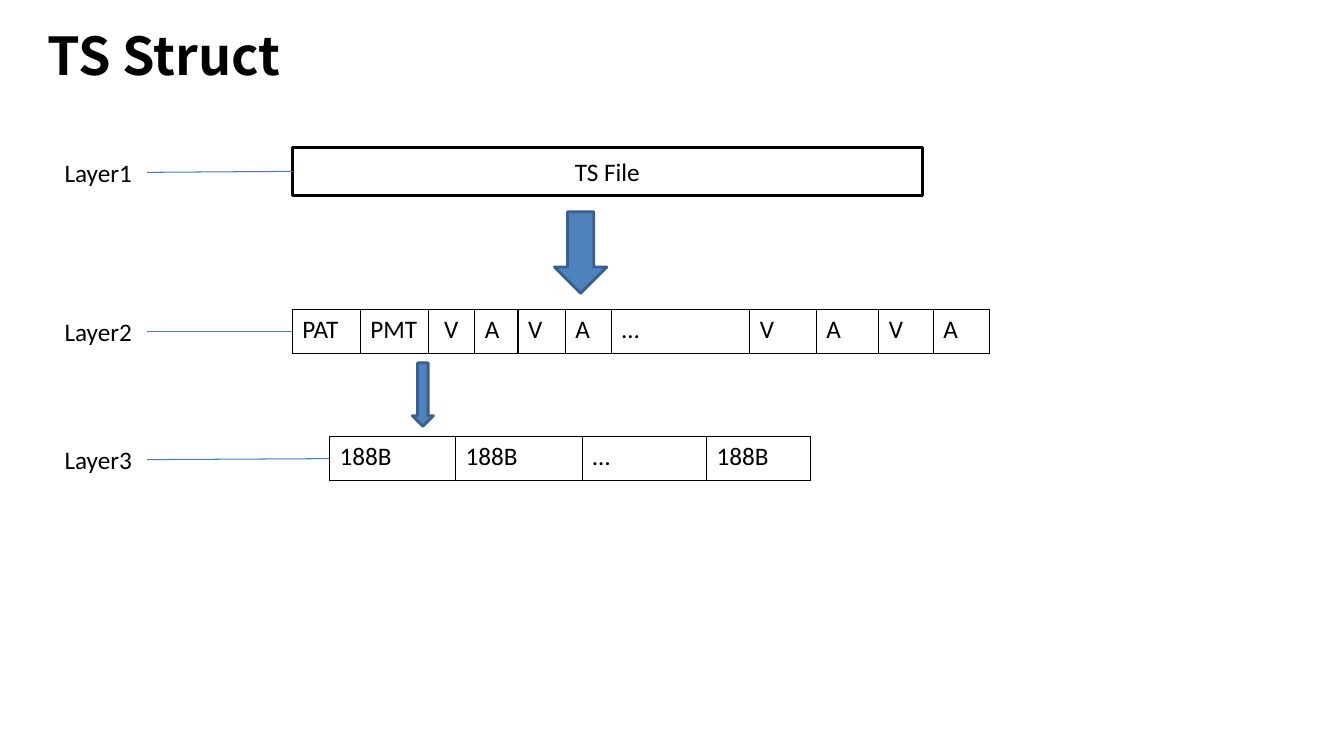
from lxml import etree
from pptx import Presentation
from pptx import util as u
from pptx.dml.color import RGBColor
from pptx.enum import shapes, text
from pptx.oxml import ns

BLACK = RGBColor(0x00, 0x00, 0x00)
WHITE = RGBColor(0xFF, 0xFF, 0xFF)
ARROW_FILL = RGBColor(0x4F, 0x81, 0xBD)
ARROW_EDGE = RGBColor(0x3A, 0x5F, 0x8C)
LINK_BLUE = RGBColor(0x4B, 0x7E, 0xBC)

# The grid has ten columns and ten rows to the inch
GRID = u.Inches(0.1)
COLUMNS, ROWS = 133.33, 75


def grid(*lengths):
    return [round(length * GRID) for length in lengths]


def write_text(frame, content, font="Calibri", size=18, bold=False,
               align=text.PP_ALIGN.LEFT, anchor=text.MSO_ANCHOR.MIDDLE):
    frame.word_wrap = True
    frame.vertical_anchor = anchor
    paragraph = frame.paragraphs[0]
    paragraph.alignment = align
    run = paragraph.add_run()
    run.text = content
    run.font.name = font
    run.font.size = u.Pt(size)
    run.font.bold = bold
    run.font.color.rgb = BLACK


class Diagram:
    """Holds the slide and draws its elements in grid units."""

    title_font = "Noto Sans CJK SC"
    cell_height = 4.4
    border_width = 1

    def __init__(self, slide):
        self.slide = slide

    def title(self, content, left, top, width, height):
        box = self.slide.shapes.add_textbox(*grid(left, top, width, height))
        write_text(box.text_frame, content, font=self.title_font, size=37.3, bold=True)

    def block(self, kind, left, top, width, height, fill=WHITE, edge=None, content=None):
        shape = self.slide.shapes.add_shape(kind, *grid(left, top, width, height))
        shape.shadow.inherit = False
        shape.fill.solid()
        shape.fill.fore_color.rgb = fill
        if edge is None:
            shape.line.fill.background()
        else:
            shape.line.color.rgb = edge
            shape.line.width = u.Pt(2)
        if content:
            write_text(shape.text_frame, content, align=text.PP_ALIGN.CENTER)

    def box(self, content, *place, edge=None):
        self.block(shapes.MSO_SHAPE.RECTANGLE, *place, edge=edge, content=content)

    def down_arrow(self, *place):
        self.block(shapes.MSO_SHAPE.DOWN_ARROW, *place, fill=ARROW_FILL, edge=ARROW_EDGE)

    def link(self, start, end):
        connector = self.slide.shapes.add_connector(
            shapes.MSO_CONNECTOR.STRAIGHT, *grid(*start, *end))
        connector.line.color.rgb = LINK_BLUE
        connector.line.width = u.Pt(0.75)
        properties = connector._element.spPr
        etree.SubElement(properties, ns.qn("a:effectLst"))

    def packet_row(self, left, top, packets):
        width = sum(packet_width for _, packet_width in packets)
        frame = self.slide.shapes.add_table(
            1, len(packets), *grid(left, top, width, self.cell_height))
        table = frame.table
        table.first_row = table.horz_banding = False
        for index, (content, packet_width) in enumerate(packets):
            table.columns[index].width = grid(packet_width)[0]
            cell = table.cell(0, index)
            write_text(cell.text_frame, content, anchor=text.MSO_ANCHOR.TOP)
            self.borders(cell)
            cell.fill.solid()
            cell.fill.fore_color.rgb = WHITE

    def borders(self, cell):
        properties = cell._tc.get_or_add_tcPr()
        for side in ("a:lnL", "a:lnR", "a:lnT", "a:lnB"):
            line = etree.SubElement(properties, ns.qn(side), w=str(u.Pt(self.border_width)))
            fill = etree.SubElement(line, ns.qn("a:solidFill"))
            etree.SubElement(fill, ns.qn("a:srgbClr"), val=str(BLACK))


def main():
    presentation = Presentation()
    presentation.slide_width, presentation.slide_height = grid(COLUMNS, ROWS)
    slide = presentation.slides.add_slide(presentation.slide_layouts[6])
    diagram = Diagram(slide)
    diagram.title("TS Struct", 3.7, 1.8, 126, 7.2)

    # Layer contents: file, stream packets, fixed-size packets
    diagram.box("TS File", 29, 14.6, 62.5, 4.8, edge=BLACK)
    diagram.packet_row(29, 30.7, [
        ("PAT", 6.75), ("PMT", 6.75), (" V", 4.6), ("A", 4.3), ("V", 4.7), ("A", 4.6),
        ("…", 13.7), ("V", 6.6), ("A", 6.2), ("V", 5.4), ("A", 5.6)])
    diagram.packet_row(32.7, 43.3, [
        ("188B", 12.5), ("188B", 12.6), ("…", 12.3), ("188B", 10.3)])

    # Arrows from layer to layer
    diagram.down_arrow(55, 21, 5.2, 8.1)
    diagram.down_arrow(40.9, 36, 2.1, 6.3)

    # Layer labels, each linked to its content
    label_left, label_width, label_height = 4.9, 9.7, 4.6
    layers = [(14.8, (29, 17)), (30.6, (29, 32.9)), (43.3, (32.7, 45.5))]
    for number, (top, target) in enumerate(layers, start=1):
        diagram.box(f"Layer{number}", label_left, top, label_width, label_height)
        diagram.link((label_left + label_width, top + label_height / 2), target)

    presentation.save("out.pptx")


if __name__ == "__main__":
    main()
